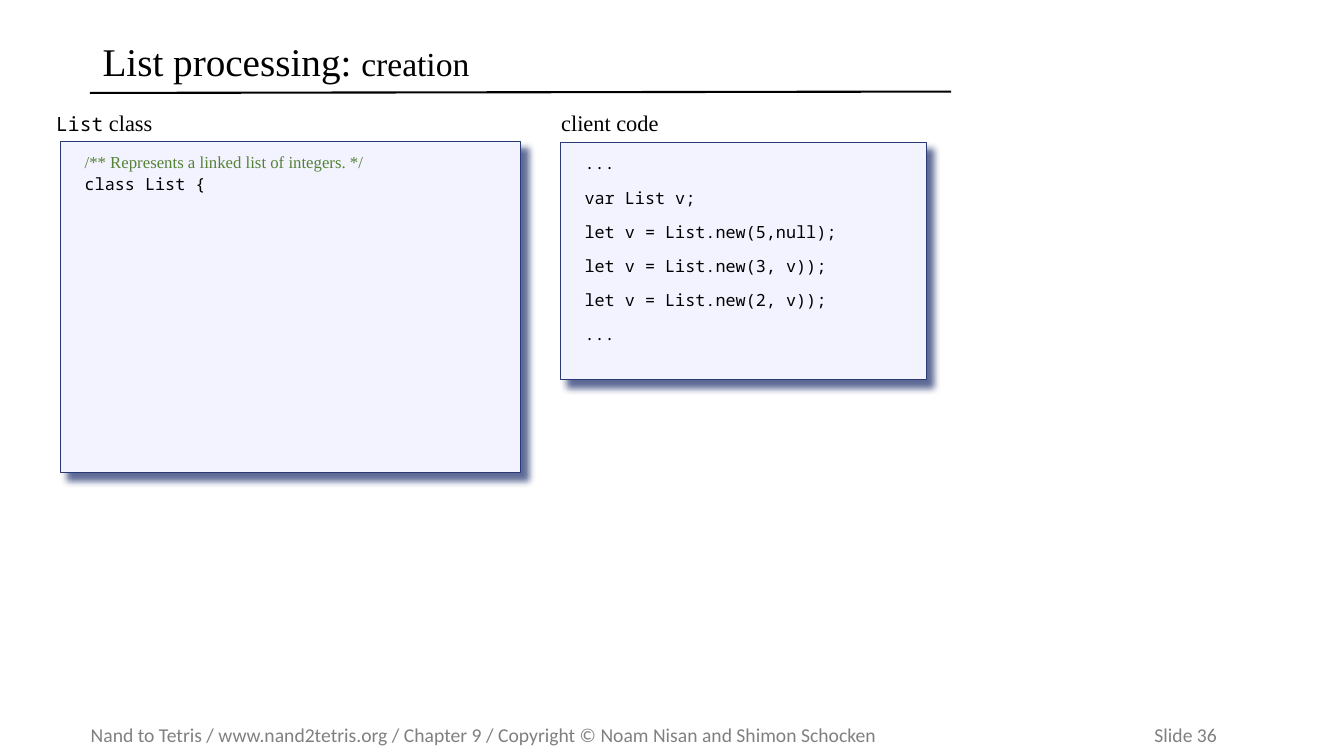
from lxml.etree import SubElement
from pptx import Presentation
from pptx.dml.color import RGBColor
from pptx.enum.shapes import MSO_CONNECTOR, MSO_SHAPE
from pptx.enum.text import MSO_ANCHOR, PP_ALIGN
from pptx.oxml.ns import qn
from pptx.util import Pt

BLACK = RGBColor(0x00, 0x00, 0x00)
GRAY = RGBColor(0x80, 0x80, 0x80)
GREEN = RGBColor(0x54, 0x82, 0x35)
NAVY = RGBColor(0x29, 0x39, 0x73)
PALE = RGBColor(0xF3, 0xF3, 0xFF)
SERIF, MONO, SANS = "Times New Roman", "Noto Sans Mono", "Calibri"

# Content: each paragraph is a list of runs (text, font, size, color)
TITLE = [("List processing: ", SERIF, 28, BLACK), ("creation", SERIF, 24, BLACK)]
FOOTER = [("Nand to Tetris / www.nand2tetris.org / Chapter 9 / "
           "Copyright © Noam Nisan and Shimon Schocken\tSlide 36", SANS, 14, GRAY)]
CLIENT_LINES = ["...", "var List v;", "let v = List.new(5,null);",
                "let v = List.new(3, v));", "let v = List.new(2, v));", "..."]
PANELS = [
    {"label": [("List", MONO, 14, BLACK), (" class", SERIF, 16, BLACK)],
     "label_at": (33.1, 74.5), "box": (43.2, 100.8, 329, 236.9), "gap": 1,
     "code": [[("/** Represents a linked list of integers. */", SERIF, 12, GREEN)],
              [("class List {", MONO, 12, BLACK)]]},
    {"label": [("client code", SERIF, 16, BLACK)],
     "label_at": (393.8, 74.5), "box": (400.3, 101.5, 261.4, 169.9), "gap": 10,
     "code": [[(line, MONO, 12, BLACK)] for line in CLIENT_LINES]},
]


def write_text(shape, paragraphs, insets=(7.2, 3.6, 7.2, 3.6), anchor=MSO_ANCHOR.TOP,
               gap=0, line_spacing=None, right_tab=None):
    frame = shape.text_frame
    frame.word_wrap = True
    frame.vertical_anchor = anchor
    (frame.margin_left, frame.margin_top,
     frame.margin_right, frame.margin_bottom) = [Pt(inset) for inset in insets]
    for index, runs in enumerate(paragraphs):
        paragraph = frame.add_paragraph() if index else frame.paragraphs[0]
        paragraph.alignment = PP_ALIGN.LEFT
        if right_tab:
            tabs = SubElement(paragraph._p.get_or_add_pPr(), qn("a:tabLst"))
            SubElement(tabs, qn("a:tab"), pos=str(Pt(right_tab)), algn="r")
        if index:
            paragraph.space_before = Pt(gap)
        if line_spacing:
            paragraph.line_spacing = line_spacing
        for text, font, size, color in runs:
            run = paragraph.add_run()
            run.text = text
            run.font.name = font
            run.font.size = Pt(size)
            run.font.color.rgb = color


def add_box_shadow(shape):
    effects = SubElement(shape._element.spPr, qn("a:effectLst"))
    shadow = SubElement(effects, qn("a:outerShdw"), blurRad=str(Pt(5)), dist=str(Pt(7.1)),
                        dir=str(45 * 60000), algn="tl", rotWithShape="0")
    color = SubElement(shadow, qn("a:srgbClr"), val=str(NAVY))
    SubElement(color, qn("a:alpha"), val="75000")


presentation = Presentation()
presentation.slide_width = Pt(960)
presentation.slide_height = Pt(540)
slide = presentation.slides.add_slide(presentation.slide_layouts[6])
shapes = slide.shapes

# Footer with the slide number at a right tab
footer = shapes.add_textbox(Pt(64.8), Pt(512.6), Pt(882), Pt(24.5))
write_text(footer, [FOOTER], insets=(0, 3.6, 0, 3.6), anchor=MSO_ANCHOR.MIDDLE, right_tab=804.5)

# Title and its rule
rule = shapes.add_connector(MSO_CONNECTOR.STRAIGHT, Pt(64.2), Pt(66.4), Pt(679.4), Pt(65.4))
rule.line.color.rgb = BLACK
rule.line.width = Pt(1.5)
SubElement(rule._element.spPr, qn("a:effectLst"))
title = shapes.add_textbox(Pt(66.2), Pt(23), Pt(614.2), Pt(45.4))
write_text(title, [TITLE], anchor=MSO_ANCHOR.MIDDLE, line_spacing=0.9)

# Code panels with their labels
for panel in PANELS:
    box = shapes.add_shape(MSO_SHAPE.RECTANGLE, *[Pt(length) for length in panel["box"]])
    box.fill.solid()
    box.fill.fore_color.rgb = PALE
    box.line.color.rgb = NAVY
    box.line.width = Pt(0.75)
    add_box_shadow(box)
    write_text(box, panel["code"], insets=(17.3, 7.9, 7.2, 7.9), gap=panel["gap"])

    left, top = panel["label_at"]
    label = shapes.add_textbox(Pt(left), Pt(top), Pt(115.2), Pt(30.2))
    write_text(label, [panel["label"]])

presentation.save("out.pptx")
